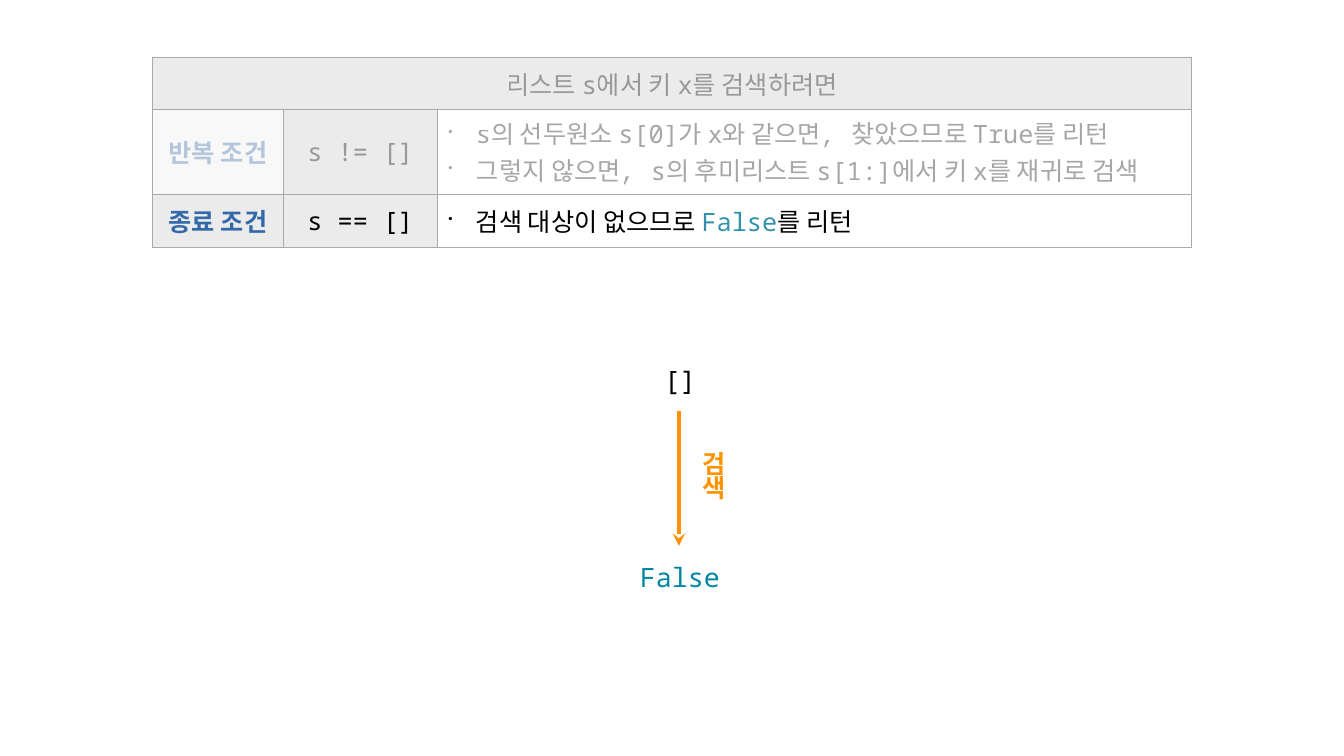
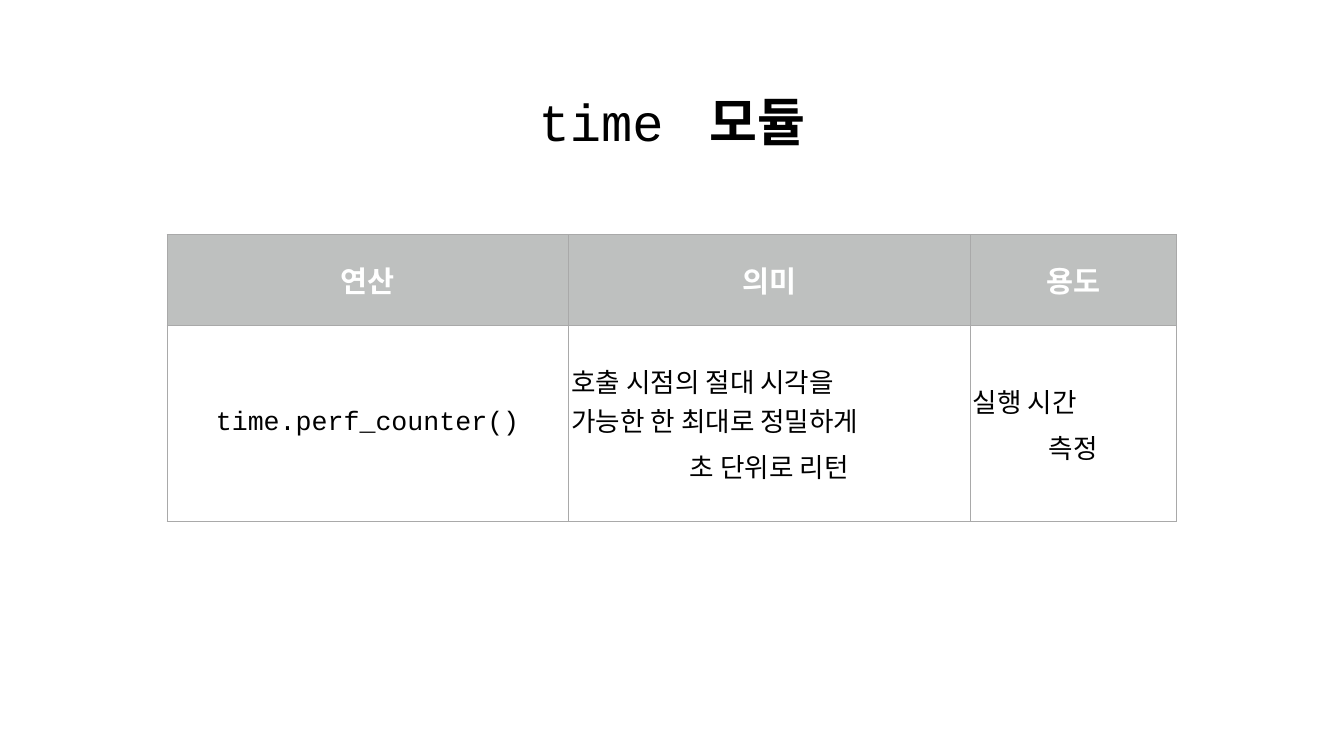
from dataclasses import dataclass, replace
from itertools import cycle

from lxml import etree
from pptx import Presentation
from pptx.dml.color import RGBColor
from pptx.enum.shapes import MSO_CONNECTOR
from pptx.enum.text import MSO_ANCHOR, MSO_AUTO_SIZE, PP_ALIGN
from pptx.oxml.ns import qn
from pptx.util import Pt

LEFT, CENTER = PP_ALIGN.LEFT, PP_ALIGN.CENTER
MIDDLE, BOTTOM = MSO_ANCHOR.MIDDLE, MSO_ANCHOR.BOTTOM
FIT_SHAPE, NO_FIT = MSO_AUTO_SIZE.SHAPE_TO_FIT_TEXT, MSO_AUTO_SIZE.NONE
STRAIGHT = MSO_CONNECTOR.STRAIGHT
TITLE_ONLY, BLANK = 5, 6

BLACK = RGBColor(0x00, 0x00, 0x00)
WHITE = RGBColor(0xFF, 0xFF, 0xFF)
BORDER = RGBColor(0xA9, 0xA9, 0xA9)
PALE_GRAY = RGBColor(0xEB, 0xEB, 0xEB)
HEADER_GRAY = RGBColor(0xBE, 0xC0, 0xBF)
BLUE = RGBColor(0x34, 0x69, 0xA9)
CYAN = RGBColor(0x30, 0x92, 0xAB)
TEAL = RGBColor(0x00, 0x86, 0xA2)
ORANGE = RGBColor(0xFE, 0x93, 0x01)
FADED = 34


@dataclass(frozen=True)
class TextStyle:
    font: str = "Arial"
    size: float = 36
    color: RGBColor = BLACK
    bold: bool = False
    opacity: int = 100


PLAIN = TextStyle()
CODE = TextStyle("Noto Sans Mono")
LABEL = TextStyle(color=BLUE, bold=True)
FADED_CODE = replace(CODE, opacity=FADED)
FADED_PROSE = replace(FADED_CODE, font="Courier New")
FADED_LABEL = replace(LABEL, opacity=FADED)
RESULT = replace(CODE, size=38)
TITLE = TextStyle(size=74.4, bold=True)
TITLE_CODE = replace(TITLE, font="Courier New", bold=False)
HEADER = TextStyle(size=42, color=WHITE, bold=True)
MODULE_CODE = TextStyle("Courier New", 38)


@dataclass
class Line:
    runs: list
    align: PP_ALIGN = CENTER
    spacing: float = 1
    bullet: bool = False


def set_opacity(element, percent):
    if percent < 100:
        color = element.find(".//" + qn("a:srgbClr"))
        etree.SubElement(color, qn("a:alpha"), val=str(percent * 1000))


def mixed(*texts, code_first=False):
    styles = (FADED_CODE, FADED_PROSE) if code_first else (FADED_PROSE, FADED_CODE)
    return list(zip(texts, cycle(styles)))


class Deck:
    """Holds the presentation's style and the slide being built."""

    inset = 4

    def __init__(self):
        self.presentation = Presentation()
        self.presentation.slide_width = Pt(1920)
        self.presentation.slide_height = Pt(1080)
        self.slide = None

    def add_slide(self, layout):
        self.slide = self.presentation.slides.add_slide(
            self.presentation.slide_layouts[layout])
        self.slide.background.fill.solid()
        self.slide.background.fill.fore_color.rgb = WHITE

    def put_lines(self, text_frame, lines):
        for index, line in enumerate(lines):
            paragraph = text_frame.paragraphs[0] if index == 0 else text_frame.add_paragraph()
            paragraph.alignment = line.align
            paragraph.line_spacing = line.spacing
            paragraph.space_before = Pt(0)
            if line.bullet:
                self.bullet(paragraph)
            for text, style in line.runs:
                run = paragraph.add_run()
                run.text = text
                run.font.name = style.font
                run.font.size = Pt(style.size)
                run.font.bold = style.bold
                run.font.color.rgb = style.color
                set_opacity(run.font._element, style.opacity)

    def bullet(self, paragraph):
        properties = paragraph._p.get_or_add_pPr()
        properties.set("marL", str(Pt(51)))
        properties.set("indent", str(-Pt(39.6)))
        etree.SubElement(properties, qn("a:buSzPct"), val="50000")
        etree.SubElement(properties, qn("a:buChar"), char="•")

    def set_margins(self, target, inset):
        target.margin_left = target.margin_right = Pt(inset)
        target.margin_top = target.margin_bottom = Pt(inset)

    def title(self, runs, left, top, width, height):
        shape = self.slide.shapes.title
        shape.left, shape.top = Pt(left), Pt(top)
        shape.width, shape.height = Pt(width), Pt(height)
        shape.fill.solid()
        shape.fill.fore_color.rgb = WHITE
        text_frame = shape.text_frame
        text_frame.auto_size = NO_FIT
        text_frame.vertical_anchor = BOTTOM
        self.set_margins(text_frame, self.inset)
        self.put_lines(text_frame, [Line(runs)])

    def text(self, text, style, left, top, width, height, align=LEFT):
        shape = self.slide.shapes.add_textbox(Pt(left), Pt(top), Pt(width), Pt(height))
        text_frame = shape.text_frame
        text_frame.word_wrap = False
        text_frame.auto_size = FIT_SHAPE
        text_frame.vertical_anchor = MIDDLE
        self.set_margins(text_frame, 5.6)
        self.put_lines(text_frame, [Line([(text, style)], align)])
        return text_frame

    def stacked_text(self, text, style, left, top, width, height):
        text_frame = self.text(text, style, left, top, width, height, CENTER)
        text_frame.word_wrap = True
        text_frame.auto_size = NO_FIT
        text_frame.margin_right = Pt(39)
        text_frame.paragraphs[0].line_spacing = 0.8

    def arrow(self, x, top, bottom, color, width):
        connector = self.slide.shapes.add_connector(
            STRAIGHT, Pt(x), Pt(top), Pt(x), Pt(bottom))
        connector.line.color.rgb = color
        connector.line.width = Pt(width)
        etree.SubElement(connector.line._get_or_add_ln(), qn("a:tailEnd"), type="stealth")
        etree.SubElement(connector._element.spPr, qn("a:effectLst"))

    def table(self, left, top, widths, heights):
        frame = self.slide.shapes.add_table(
            len(heights), len(widths), Pt(left), Pt(top), Pt(sum(widths)), Pt(sum(heights)))
        table = frame.table
        table.first_row = table.horz_banding = False
        for column, width in zip(table.columns, widths):
            column.width = Pt(width)
        for row, height in zip(table.rows, heights):
            row.height = Pt(height)
        for cell in table.iter_cells():
            cell.vertical_anchor = MIDDLE
            self.set_margins(cell, self.inset)
            cell.fill.background()
            self.borders(cell)
        return table

    def borders(self, cell):
        properties = cell._tc.get_or_add_tcPr()
        for index, side in enumerate(("lnL", "lnR", "lnT", "lnB")):
            line = etree.Element(qn("a:" + side), w=str(Pt(1)))
            fill = etree.SubElement(line, qn("a:solidFill"))
            etree.SubElement(fill, qn("a:srgbClr"), val=str(BORDER))
            properties.insert(index, line)

    def cell(self, cell, lines, fill=None, opacity=100):
        if fill is not None:
            cell.fill.solid()
            cell.fill.fore_color.rgb = fill
            set_opacity(cell._tc.tcPr.find(qn("a:solidFill")), opacity)
        self.put_lines(cell.text_frame, lines)


def search_slide(deck):
    deck.add_slide(BLANK)
    table = deck.table(218.2, 82.1, (186.5, 220.3, 1077.1), (73.4, 121.7, 75.6))
    table.cell(0, 0).merge(table.cell(0, 2))
    deck.cell(table.cell(0, 0),
              [Line(mixed("리스트 ", "s", "에서 키 ", "x", "를 검색하려면"))], PALE_GRAY)

    repeat_steps = [
        mixed("s", "의 선두원소 ", "s[0]", "가 ", "x", "와 같으면, 찾았으므로 ",
              "True", "를 리턴", code_first=True),
        mixed("그렇지 않으면, ", "s", "의 후미리스트 ", "s[1:]", "에서 키 ", "x",
              "를 재귀로 검색"),
    ]
    stop_steps = [[("검색 대상이 없으므로 ", PLAIN), ("False", replace(CODE, color=CYAN)),
                   ("를 리턴", PLAIN)]]
    conditions = [
        ("반복 조건", FADED_LABEL, FADED, "s != []", FADED_CODE, repeat_steps),
        ("종료 조건", LABEL, 100, "s == []", CODE, stop_steps),
    ]
    for row, (label, label_style, opacity, test, test_style, steps) in enumerate(conditions, 1):
        deck.cell(table.cell(row, 0), [Line([(label, label_style)])], PALE_GRAY, opacity)
        deck.cell(table.cell(row, 1), [Line([(test, test_style)])], PALE_GRAY)
        deck.cell(table.cell(row, 2), [Line(step, LEFT, bullet=True) for step in steps])

    deck.text("[]", RESULT, 943.2, 514.8, 58.3, 56.2)
    deck.arrow(969.8, 587.5, 779.8, ORANGE, 6)
    deck.stacked_text("검색", replace(LABEL, color=ORANGE), 998.6, 656.6, 74.9, 54)
    deck.text("False", replace(RESULT, color=TEAL), 908.6, 796.3, 126.7, 56.2)


def time_slide(deck):
    deck.add_slide(TITLE_ONLY)
    deck.title([("time ", TITLE_CODE), (" 모듈", TITLE)], 709.9, 115.2, 499.7, 105.8)
    table = deck.table(238.3, 334.8, (573.8, 573.8, 294.5), (130.3, 280.1))
    for column, heading in enumerate(("연산", "의미", "용도")):
        deck.cell(table.cell(0, column), [Line([(heading, HEADER)])], HEADER_GRAY)
    deck.cell(table.cell(1, 0), [Line([("time.perf_counter()", MODULE_CODE)])])
    descriptions = [
        ("호출 시점의 절대 시각을", "가능한 한 최대로 정밀하게", "초 단위로 리턴"),
        ("실행 시간", "측정"),
    ]
    for column, (*opening, closing) in enumerate(descriptions, 1):
        lines = [Line([(text, MODULE_CODE)], LEFT) for text in opening]
        lines.append(Line([(closing, MODULE_CODE)], CENTER, 1.2))
        deck.cell(table.cell(1, column), lines)


def main():
    deck = Deck()
    search_slide(deck)
    time_slide(deck)
    deck.presentation.save("out.pptx")


if __name__ == "__main__":
    main()
